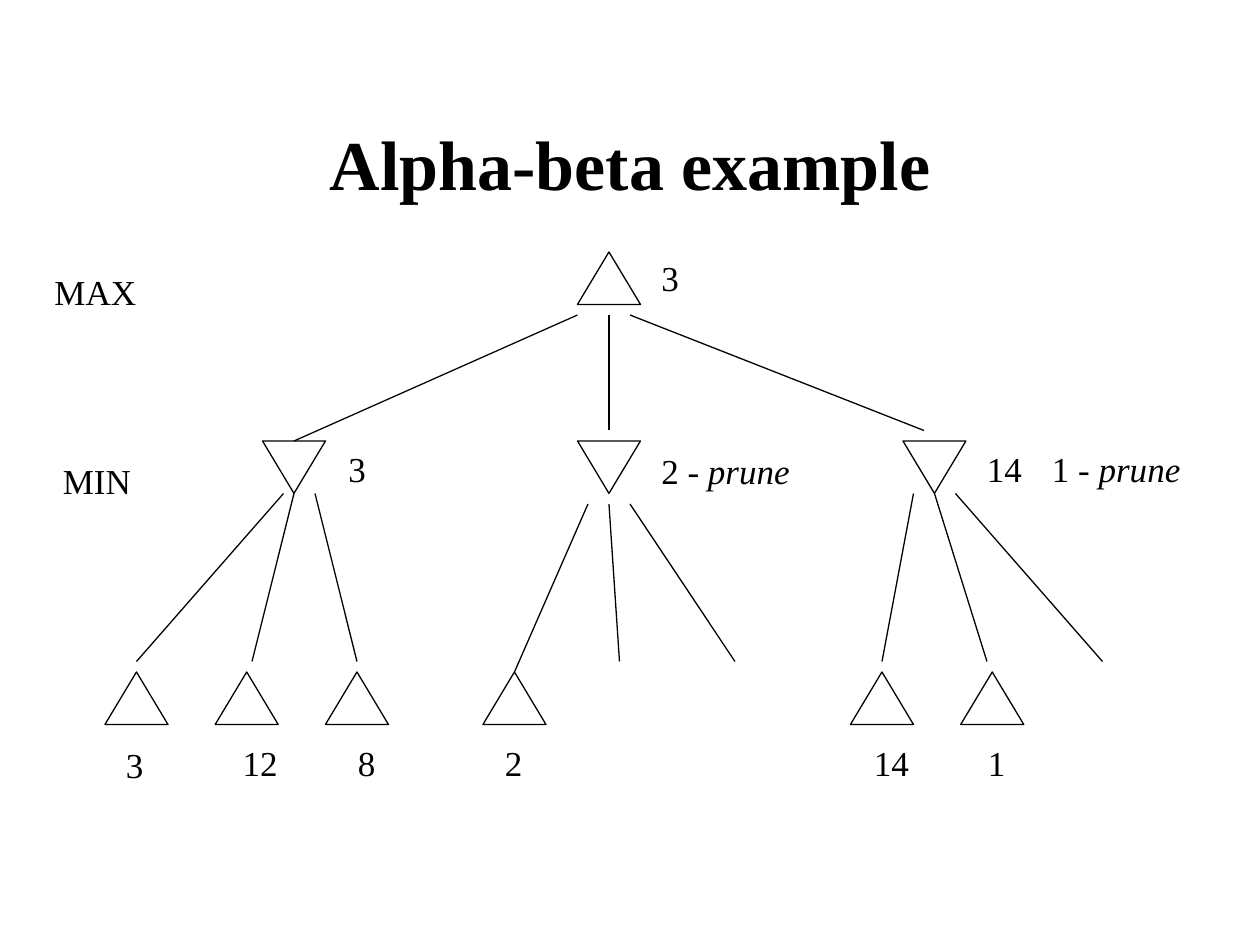
from dataclasses import dataclass

from lxml import etree
from pptx import Presentation
from pptx.dml.color import RGBColor
from pptx.enum import shapes, text
from pptx.oxml.ns import qn
from pptx.util import Pt


@dataclass(frozen=True)
class Theme:
    ink = RGBColor(0, 0, 0)
    paper = RGBColor(255, 255, 255)
    face = "Times New Roman"
    title = Pt(40)
    label = Pt(20)
    line = Pt(0.75)


theme = Theme()
prs = Presentation()
prs.slide_width, prs.slide_height = Pt(720), Pt(540)
s = prs.slides.add_slide(prs.slide_layouts[6])


def add_text(x, y, w, h, runs, size, bold=False, **frame):
    tf = s.shapes.add_textbox(Pt(x), Pt(y), Pt(w), Pt(h)).text_frame
    for name, value in frame.items():
        setattr(tf, name, value)
    p = tf.paragraphs[0]
    for words, italic in runs:
        r = p.add_run()
        r.text = words
        fmt = {"name": theme.face, "size": size, "bold": bold, "italic": italic}
        for name, value in fmt.items():
            setattr(r.font, name, value)
        r.font.color.rgb = theme.ink
    return p


p = add_text(54, 48, 612, 90, [("Alpha-beta example", False)], theme.title, True,
             word_wrap=True, vertical_anchor=text.MSO_ANCHOR.MIDDLE)
p.alignment = text.PP_ALIGN.CENTER

node_w, node_h = 36, 30
levels = [
    (144, False, [348]),
    (252, True, [168, 348, 534]),
    (384, False, [78, 141, 204, 294, 504, 567]),
]
for top, is_min, centers in levels:
    for center in centers:
        sp = s.shapes.add_shape(shapes.MSO_SHAPE.ISOSCELES_TRIANGLE,
                                Pt(center - node_w / 2), Pt(top), Pt(node_w), Pt(node_h))
        sp.shadow.inherit = False
        sp.fill.solid()
        sp.fill.fore_color.rgb = theme.paper
        sp.line.color.rgb = theme.ink
        sp.line.width = theme.line
        if is_min:
            sp._element.spPr.find(qn("a:xfrm")).set("flipV", "1")

branches = [
    (180, [(330, 168, 252), (348, 348, 246), (360, 528, 246)]),
    (282, [(162, 78, 378), (168, 144, 378), (180, 204, 378)]),
    (288, [(336, 294, 384), (348, 354, 378), (360, 420, 378)]),
    (282, [(522, 504, 378), (534, 564, 378), (546, 630, 378)]),
]
for y1, ends in branches:
    for x1, x2, y2 in ends:
        cx = s.shapes.add_connector(shapes.MSO_CONNECTOR.STRAIGHT,
                                    Pt(x1), Pt(y1), Pt(x2), Pt(y2))
        cx.line.color.rgb = theme.ink
        cx.line.width = theme.line
        etree.SubElement(cx._element.spPr, qn("a:effectLst"))

labels = [
    (64.8, 421.2, 24.5, "3", ""),
    (131.6, 420, 34.5, "12", ""),
    (197.5, 420, 24.5, "8", ""),
    (281.5, 420, 24.5, "2", ""),
    (492.3, 420, 34.5, "14", ""),
    (557.5, 420, 24.5, "1", ""),
    (192, 252, 24.5, "3", ""),
    (28.8, 259, 54, "MIN", ""),
    (24, 151, 62, "MAX", ""),
    (370.8, 142.8, 24.5, "3", ""),
    (370.8, 253.2, 88, "2 - ", "prune"),
    (556.8, 252, 34.5, "14", ""),
    (594, 252, 88, "1 - ", "prune"),
]
for x, y, w, value, note in labels:
    runs = [(value, False)] + ([(note, True)] if note else [])
    add_text(x, y, w, 31.5, runs, theme.label, word_wrap=False,
             auto_size=text.MSO_AUTO_SIZE.SHAPE_TO_FIT_TEXT)

prs.save("out.pptx")
